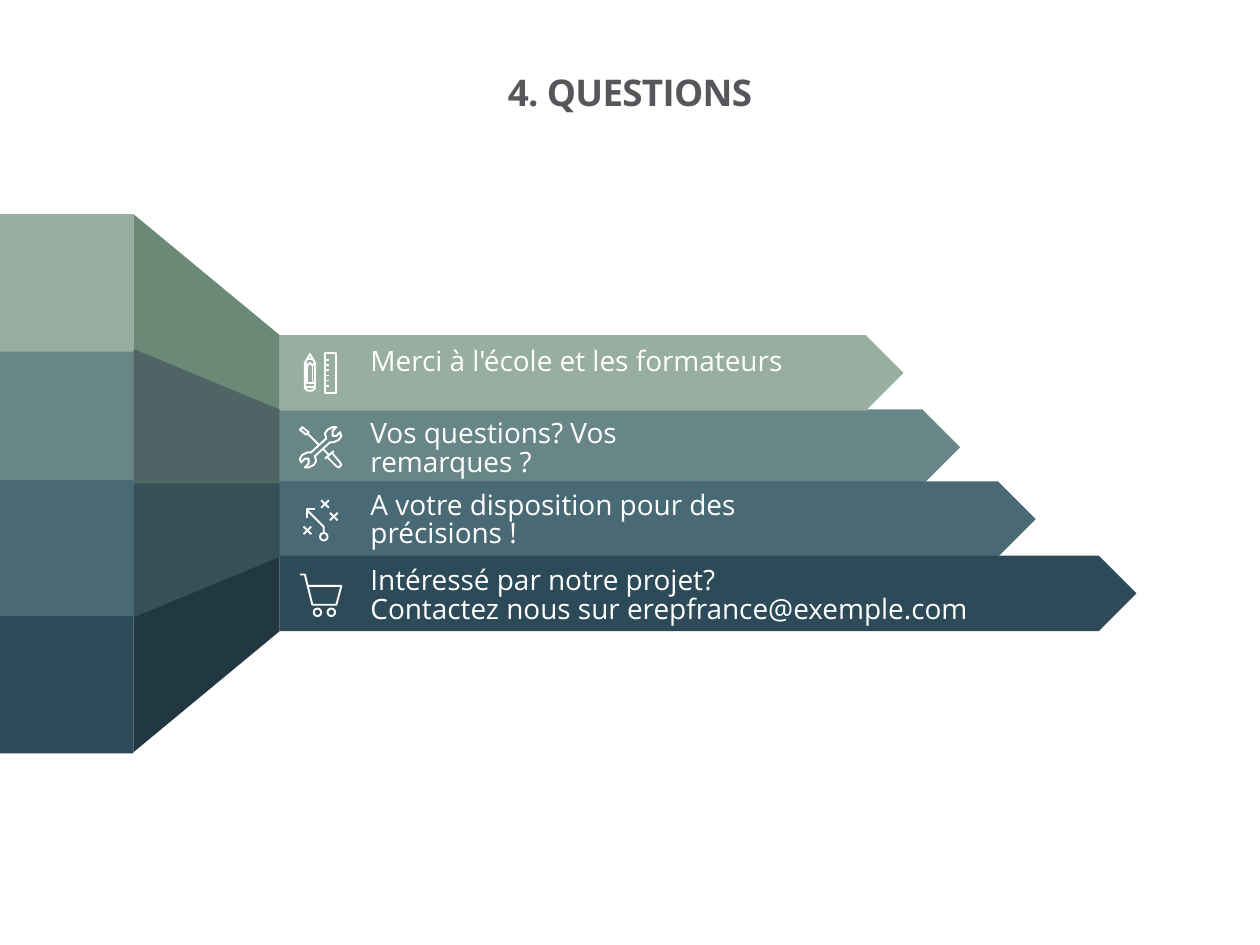
from dataclasses import dataclass, field

from pptx import Presentation
from pptx.dml.color import RGBColor
from pptx.enum.shapes import MSO_SHAPE
from pptx.enum.text import MSO_ANCHOR, MSO_AUTO_SIZE, PP_ALIGN
from pptx.shapes.autoshape import Shape
from pptx.slide import Slide
from pptx.util import Inches, Pt

Point = tuple[float, float]


@dataclass(frozen=True)
class Theme:
    font: str = "Open Sans"
    title_color: str = "57565A"
    light: str = "FFFFFF"
    title_size: float = 21
    body_size: float = 16
    title_leading: float = 0.86
    body_leading: float = 0.85
    icon_stroke: float = 1.1


@dataclass(frozen=True)
class Stroke:
    points: list[Point]
    closed: bool = False


@dataclass(frozen=True)
class Ring:
    x: float
    y: float
    radius: float


@dataclass(frozen=True)
class Icon:
    strokes: list[Stroke]
    rings: list[Ring] = field(default_factory=list)


@dataclass(frozen=True)
class Band:
    lines: list[str]
    color: str
    fold_color: str
    arrow_top: float
    arrow_width: float
    front_top: float
    fold_inner: float
    fold_outer: float
    text_top: float
    text_width: float
    text_height: float
    icon: Icon


THEME = Theme()
ARROW_LEFT, ARROW_HEIGHT = 2.22, 0.6
FRONT_LEFT, FRONT_RIGHT, FRONT_HEIGHT = -0.02, 1.06, 1.09
TEXT_LEFT = 2.94
VANISHING_Y = 3.83


def cross(x: float, y: float, reach: float = 0.03) -> list[Stroke]:
    return [Stroke([(x - reach, y - slope * reach), (x + reach, y + slope * reach)])
            for slope in (1, -1)]


PENCIL_AND_RULER = Icon([
    Stroke([(2.58, 2.8), (2.67, 2.8), (2.67, 3.12), (2.58, 3.12)], True),
    *[Stroke([(2.58, 2.86 + 0.04 * mark), (2.61, 2.86 + 0.04 * mark)]) for mark in range(6)],
    Stroke([(2.46, 2.81), (2.42, 2.88), (2.42, 3.08), (2.44, 3.1), (2.48, 3.1),
            (2.5, 3.08), (2.5, 2.88)], True),
    Stroke([(2.42, 2.88), (2.44, 2.9), (2.46, 2.88), (2.48, 2.9), (2.5, 2.88)]),
    Stroke([(2.44, 2.85), (2.48, 2.85)]),
    *[Stroke([(2.42, y), (2.5, y)]) for y in (3.04, 3.07)],
    *[Stroke([(x, 2.9), (x, 3.04)]) for x in (2.44, 2.48)],
])
TOOLS = Icon([
    Stroke([(2.7, 3.43), (2.67, 3.46), (2.64, 3.46), (2.64, 3.42), (2.67, 3.39), (2.64, 3.39),
            (2.6, 3.41), (2.58, 3.44), (2.59, 3.48), (2.47, 3.59), (2.44, 3.59), (2.4, 3.61),
            (2.38, 3.64), (2.39, 3.67), (2.42, 3.64), (2.45, 3.64), (2.45, 3.68), (2.42, 3.71),
            (2.45, 3.71), (2.49, 3.69), (2.51, 3.66), (2.5, 3.62), (2.62, 3.51), (2.65, 3.51),
            (2.69, 3.49), (2.71, 3.46)], True),
    Stroke([(2.4, 3.39), (2.38, 3.41), (2.43, 3.45), (2.45, 3.43)], True),
    Stroke([(2.44, 3.44), (2.53, 3.53)]),
    Stroke([(2.56, 3.56), (2.61, 3.61)]),
    Stroke([(2.58, 3.64), (2.65, 3.58)]),
    Stroke([(2.6, 3.63), (2.67, 3.7), (2.69, 3.71), (2.71, 3.69), (2.7, 3.67), (2.64, 3.6)]),
])
STRATEGY = Icon([
    Stroke([(2.57, 4.23), (2.57, 4.18), (2.44, 4.05)]),
    Stroke([(2.44, 4.11), (2.44, 4.04), (2.5, 4.04)]),
    *cross(2.44, 4.21), *cross(2.65, 4.1), *cross(2.58, 4.0),
], [Ring(2.57, 4.26, 0.03)])
CART = Icon([
    Stroke([(2.38, 4.56), (2.42, 4.56), (2.48, 4.8), (2.67, 4.8), (2.71, 4.65), (2.45, 4.65)]),
], [Ring(2.52, 4.86, 0.03), Ring(2.63, 4.86, 0.03)])

BANDS = [
    Band(["Merci à l'école et les formateurs"], "97AEA0", "6B8977",
         2.66, 4.95, 1.7, 2.66, 1.7, 2.72, 3.5, 0.49, PENCIL_AND_RULER),
    Band(["Vos questions? Vos remarques ?"], "688687", "4E6465",
         3.25, 5.4, 2.76, 3.25, 2.77, 3.29, 3.01, 0.49, TOOLS),
    Band(["A votre disposition pour des précisions !"], "496A75", "375058",
         3.82, 6, 3.81, 4.42, 4.9, 3.86, 3.88, 0.56, STRATEGY),
    Band(["Intéressé par notre projet?", "Contactez nous sur erepfrance@exemple.com"],
         "2C4A58", "213742",
         4.41, 6.8, 4.89, 5.01, 5.97, 4.46, 6.08, 0.56, CART),
]


def paint(shape: Shape, color: str) -> None:
    shape.shadow.inherit = False
    shape.fill.solid()
    shape.fill.fore_color.rgb = RGBColor.from_string(color)
    shape.line.fill.background()


def outline(shape: Shape) -> None:
    shape.shadow.inherit = False
    shape.fill.background()
    shape.line.color.rgb = RGBColor.from_string(THEME.light)
    shape.line.width = Pt(THEME.icon_stroke)


def draw_block(slide: Slide, kind: MSO_SHAPE, left: float, top: float,
               width: float, height: float, color: str) -> None:
    block = slide.shapes.add_shape(kind, Inches(left), Inches(top), Inches(width), Inches(height))
    paint(block, color)


def draw_strokes(slide: Slide, strokes: list[Stroke]) -> Shape:
    in_emu = [[(Inches(x), Inches(y)) for x, y in stroke.points] for stroke in strokes]
    builder = slide.shapes.build_freeform(*in_emu[0][0])
    for index, (stroke, points) in enumerate(zip(strokes, in_emu)):
        if index:
            builder.move_to(*points[0])
        builder.add_line_segments(points[1:], close=stroke.closed)
    return builder.convert_to_shape()


def draw_fold(slide: Slide, band: Band) -> None:
    corners = [(ARROW_LEFT, band.fold_inner), (FRONT_RIGHT, band.fold_outer),
               (FRONT_RIGHT, VANISHING_Y), (ARROW_LEFT, VANISHING_Y)]
    paint(draw_strokes(slide, [Stroke(corners, True)]), band.fold_color)


def draw_icon(slide: Slide, icon: Icon) -> None:
    outline(draw_strokes(slide, icon.strokes))
    for ring in icon.rings:
        wheel = slide.shapes.add_shape(
            MSO_SHAPE.OVAL, Inches(ring.x - ring.radius), Inches(ring.y - ring.radius),
            Inches(2 * ring.radius), Inches(2 * ring.radius))
        outline(wheel)


def draw_message(slide: Slide, band: Band) -> None:
    message = slide.shapes.add_textbox(Inches(TEXT_LEFT), Inches(band.text_top),
                                       Inches(band.text_width), Inches(band.text_height))
    frame = message.text_frame
    frame.word_wrap = True
    frame.auto_size = MSO_AUTO_SIZE.SHAPE_TO_FIT_TEXT
    frame.margin_left = frame.margin_right = 0
    for index, line in enumerate(band.lines):
        paragraph = frame.add_paragraph() if index else frame.paragraphs[0]
        paragraph.line_spacing = THEME.body_leading
        run = paragraph.add_run()
        run.text = line
        run.font.name = THEME.font
        run.font.size = Pt(THEME.body_size)
        run.font.color.rgb = RGBColor.from_string(THEME.light)


def set_title(slide: Slide, wording: str) -> None:
    title = slide.shapes.title
    title.left, title.top = Inches(0.75), Inches(0.31)
    title.width, title.height = Inches(8.5), Inches(0.89)
    frame = title.text_frame
    frame.word_wrap = True
    frame.auto_size = MSO_AUTO_SIZE.NONE
    frame.vertical_anchor = MSO_ANCHOR.MIDDLE
    frame.margin_left = frame.margin_right = frame.margin_top = frame.margin_bottom = 0
    paragraph = frame.paragraphs[0]
    paragraph.alignment = PP_ALIGN.CENTER
    paragraph.line_spacing = THEME.title_leading
    run = paragraph.add_run()
    run.text = wording
    run.font.name = THEME.font
    run.font.size = Pt(THEME.title_size)
    run.font.bold = True
    run.font.color.rgb = RGBColor.from_string(THEME.title_color)
    run._r.get_or_add_rPr().set("spc", "-40")


def main() -> None:
    deck = Presentation()
    deck.slide_width, deck.slide_height = Inches(10), Inches(7.5)
    slide = deck.slides.add_slide(deck.slide_layouts[5])
    set_title(slide, "4. QUESTIONS")
    top_band_last = BANDS[1:] + BANDS[:1]
    for band in top_band_last:
        draw_block(slide, MSO_SHAPE.PENTAGON, ARROW_LEFT, band.arrow_top,
                   band.arrow_width, ARROW_HEIGHT, band.color)
    for band in sorted(BANDS, key=lambda band: -abs(band.fold_outer - VANISHING_Y)):
        draw_fold(slide, band)
    for band in top_band_last:
        draw_block(slide, MSO_SHAPE.RECTANGLE, FRONT_LEFT, band.front_top,
                   FRONT_RIGHT - FRONT_LEFT, FRONT_HEIGHT, band.color)
    for band in BANDS:
        draw_icon(slide, band.icon)
        draw_message(slide, band)
    deck.save("out.pptx")


if __name__ == "__main__":
    main()
